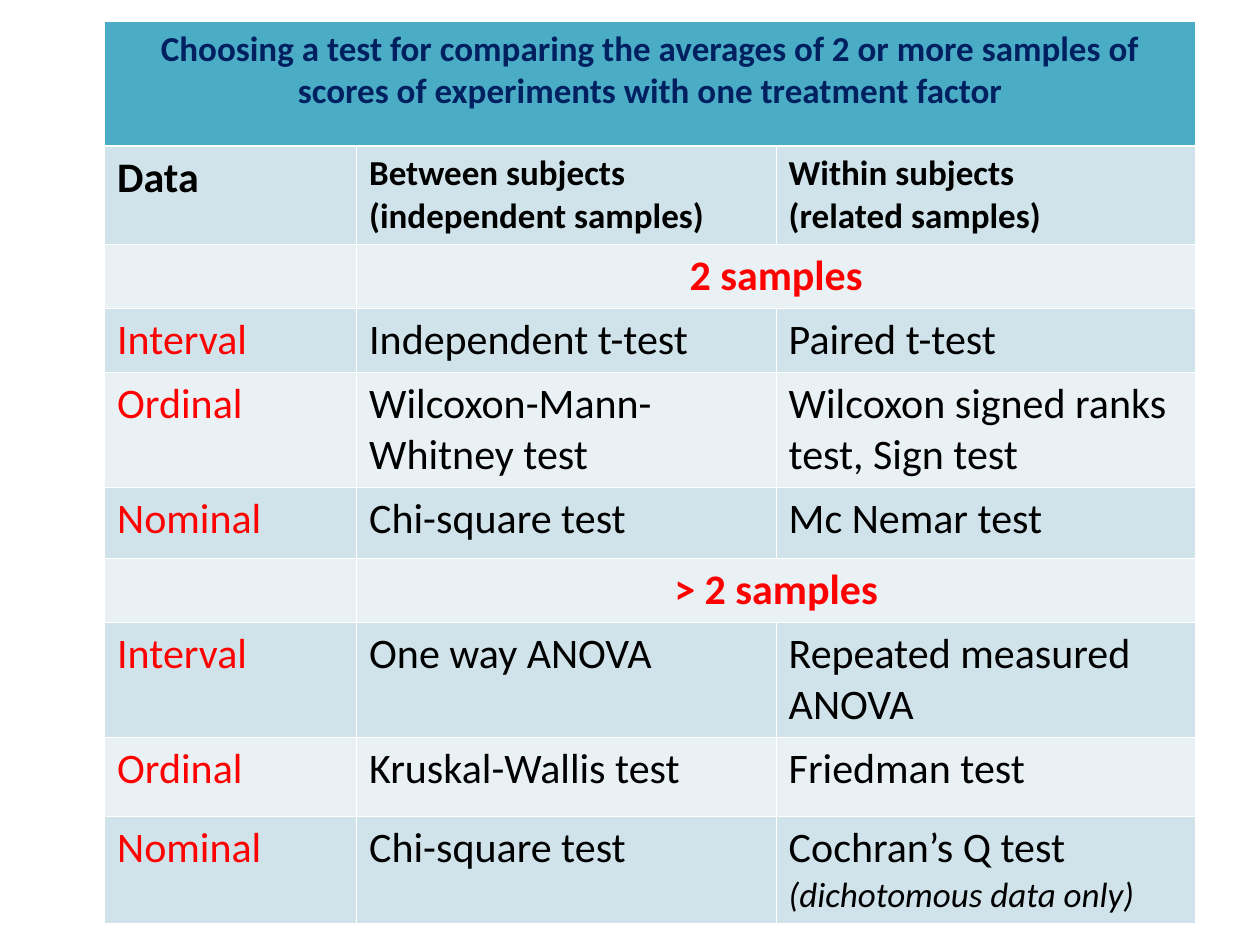
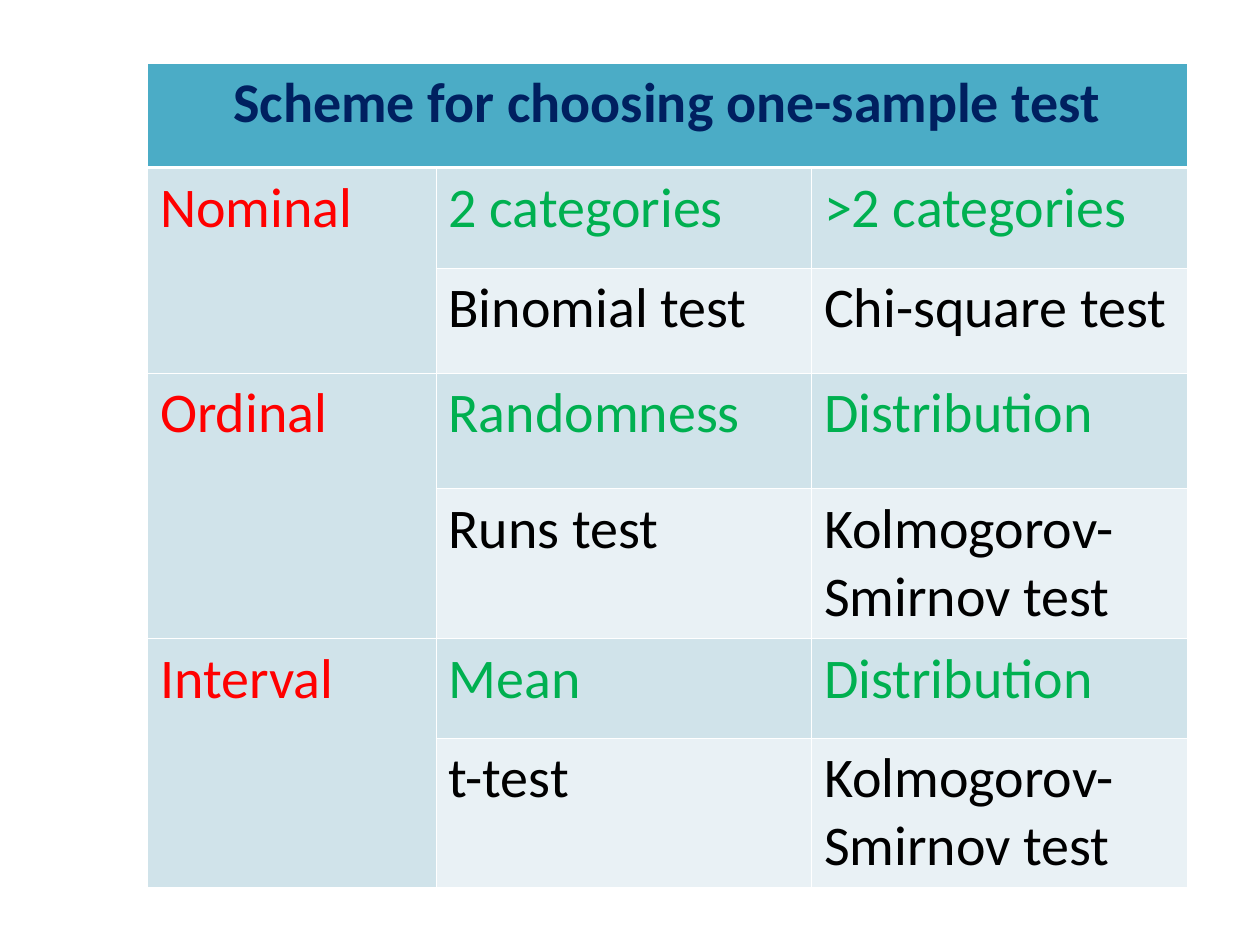
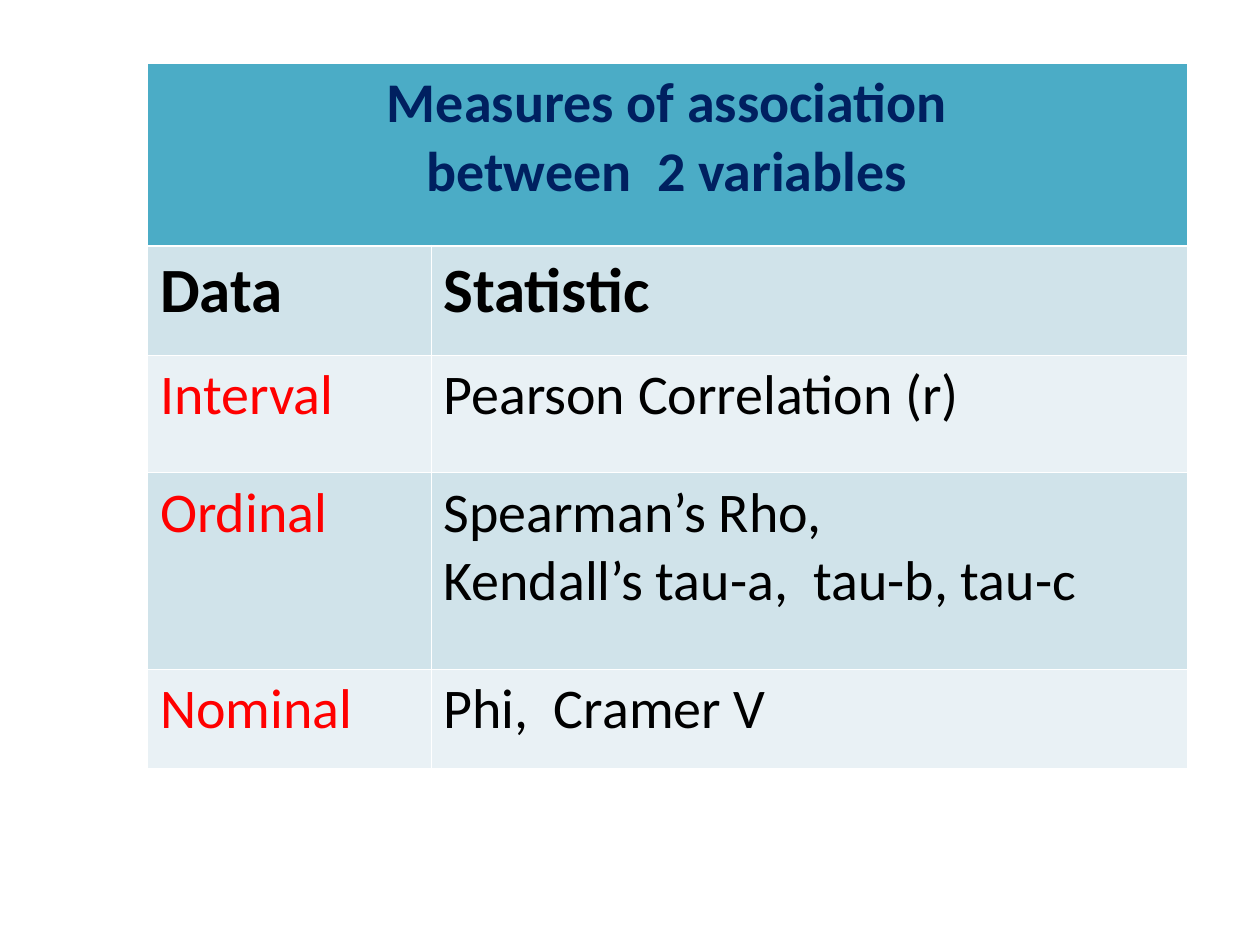
import dataclasses
import typing

import lxml.etree
import pptx
import pptx.dml.color
import pptx.enum.text
import pptx.oxml.ns
import pptx.util

Inches = pptx.util.Inches
Pt = pptx.util.Pt
RGBColor = pptx.dml.color.RGBColor
PP_ALIGN = pptx.enum.text.PP_ALIGN

# Shared look
FONT = "Calibri"
WHITE = RGBColor(0xFF, 0xFF, 0xFF)
BLACK = RGBColor(0x00, 0x00, 0x00)
NAVY = RGBColor(0x00, 0x20, 0x60)
RED = RGBColor(0xFF, 0x00, 0x00)
GREEN = RGBColor(0x00, 0xB0, 0x50)
TEAL = RGBColor(0x4B, 0xAC, 0xC6)
BAND_DARK = RGBColor(0xD0, 0xE3, 0xEA)
BAND_LIGHT = RGBColor(0xE9, 0xF1, 0xF5)
THIN, THICK = Pt(0.45), Pt(1.47)
NOTE_SIZE = 20


@dataclasses.dataclass(frozen=True)
class Style:
    color: RGBColor
    bold: bool = False
    align: PP_ALIGN = PP_ALIGN.LEFT


TITLE = Style(NAVY, True, PP_ALIGN.CENTER)
HEADING = Style(BLACK, True)
GROUP = Style(RED, True, PP_ALIGN.CENTER)
LABEL = Style(RED)
CASE = Style(GREEN)
BODY = Style(BLACK)


@dataclasses.dataclass(frozen=True)
class Entry:
    """Text of one cell; each line is a paragraph, the note an italic ending."""
    text: str
    style: Style = BODY
    size: typing.Optional[int] = None
    cols: int = 1
    rows: int = 1
    note: str = ""


Row = tuple[typing.Optional[Entry], ...]


@dataclasses.dataclass(frozen=True)
class Scheme:
    """A table filling one slide."""
    left: float
    top: float
    widths: tuple[float, ...]
    heights: tuple[float, ...]
    size: int
    rows: tuple[Row, ...]


def test_row(level: str, *tests: str) -> Row:
    return (Entry(level, LABEL), *(Entry(test) for test in tests))


def group_row(text: str) -> Row:
    return (None, Entry(text, GROUP, cols=2), None)


def case_rows(level: str, cases: tuple[str, str], tests: tuple[str, str]) -> tuple[Row, Row]:
    return ((Entry(level, LABEL, rows=2), *(Entry(case, CASE) for case in cases)),
            (None, *(Entry(test) for test in tests)))


SCHEMES = (
    Scheme(
        0.83, 0.17, (2, 3.33, 3.33),
        (0.99, 0.77, 0.5, 0.5, 0.9, 0.56, 0.51, 0.9, 0.63, 0.84), 24,
        (
            (Entry("Choosing a test for comparing the averages of 2 or more samples of "
                   "scores of experiments with one treatment factor", TITLE, 20, cols=3),),
            (Entry("Data", HEADING),
             Entry("Between subjects\n(independent samples)", HEADING, 20),
             Entry("Within subjects\n(related samples)", HEADING, 20)),
            group_row("2 samples"),
            test_row("Interval", "Independent t-test", "Paired t-test"),
            test_row("Ordinal", "Wilcoxon-Mann-Whitney test",
                     "Wilcoxon signed ranks test, Sign test"),
            test_row("Nominal", "Chi-square test", "Mc Nemar test"),
            group_row("> 2 samples"),
            test_row("Interval", "One way ANOVA", "Repeated measured ANOVA"),
            test_row("Ordinal", "Kruskal-Wallis test", "Friedman test"),
            (*test_row("Nominal", "Chi-square test"),
             Entry("Cochran’s Q test ", note="(dichotomous data only)")),
        )),
    Scheme(
        1.17, 0.5, (2.29, 2.98, 2.98),
        (0.83, 0.8, 0.83, 0.92, 1.17, 0.79, 1.17), 32,
        (
            (Entry("Scheme for choosing one-sample test", TITLE, cols=3),),
            *case_rows("Nominal", ("2 categories", ">2 categories"),
                       ("Binomial test", "Chi-square test")),
            *case_rows("Ordinal", ("Randomness", "Distribution"),
                       ("Runs test", "Kolmogorov-Smirnov test")),
            *case_rows("Interval", ("Mean", "Distribution"),
                       ("t-test", "Kolmogorov-Smirnov test")),
        )),
    Scheme(
        1.17, 0.5, (2.25, 6), (1.45, 0.87, 0.93, 1.56, 0.79), 32,
        (
            (Entry("Measures of association\nbetween  2 variables", TITLE, cols=2),),
            (Entry("Data", HEADING, 36), Entry("Statistic", HEADING, 36)),
            test_row("Interval", "Pearson Correlation (r)"),
            test_row("Ordinal", "Spearman’s Rho,\nKendall’s tau-a,  tau-b, tau-c"),
            test_row("Nominal", "Phi,  Cramer V"),
        )),
)


def set_font(font: typing.Any, style: Style, size: int) -> None:
    font.name = FONT
    font.size = Pt(size)
    font.bold = style.bold
    font.color.rgb = style.color


def set_borders(cell: typing.Any, row: int) -> None:
    """White grid, with a heavier line under the title row."""
    qn = pptx.oxml.ns.qn
    tcPr = cell._tc.get_or_add_tcPr()
    widths = {"L": THIN, "R": THIN,
              "T": THICK if row == 1 else THIN,
              "B": THICK if row == 0 else THIN}
    for side, width in widths.items():
        ln = lxml.etree.SubElement(tcPr, qn(f"a:ln{side}"), w=str(int(width)))
        fill = lxml.etree.SubElement(ln, qn("a:solidFill"))
        lxml.etree.SubElement(fill, qn("a:srgbClr"), val=str(WHITE))


def band_color(row: int) -> RGBColor:
    if row == 0:
        return TEAL
    return BAND_DARK if row % 2 else BAND_LIGHT


def write_entry(cell: typing.Any, entry: Entry, table_size: int) -> None:
    size = entry.size or table_size
    tf = cell.text_frame
    tf.text = entry.text
    for p in tf.paragraphs:
        p.alignment = entry.style.align
        if not entry.note:
            set_font(p.font, entry.style, size)
    if entry.note:
        p = tf.paragraphs[-1]
        set_font(p.runs[0].font, entry.style, size)
        r = p.add_run()
        r.text = entry.note
        set_font(r.font, entry.style, NOTE_SIZE)
        r.font.italic = True


def draw_scheme(slide: typing.Any, scheme: Scheme) -> None:
    table = slide.shapes.add_table(
        len(scheme.heights), len(scheme.widths),
        Inches(scheme.left), Inches(scheme.top),
        Inches(sum(scheme.widths)), Inches(sum(scheme.heights))).table
    table.first_row = table.horz_banding = False
    for column, width in zip(table.columns, scheme.widths):
        column.width = Inches(width)

    # Grid and bands
    for i, height in enumerate(scheme.heights):
        table.rows[i].height = Inches(height)
        for cell in table.rows[i].cells:
            set_borders(cell, i)
            cell.fill.solid()
            cell.fill.fore_color.rgb = band_color(i)

    # Text and merged cells
    for i, row in enumerate(scheme.rows):
        for j, entry in enumerate(row):
            if entry is None:
                continue
            cell = table.cell(i, j)
            if entry.cols > 1 or entry.rows > 1:
                cell.merge(table.cell(i + entry.rows - 1, j + entry.cols - 1))
            write_entry(cell, entry, scheme.size)


def main() -> None:
    prs = pptx.Presentation()
    prs.slide_width, prs.slide_height = Inches(10), Inches(7.5)
    for scheme in SCHEMES:
        draw_scheme(prs.slides.add_slide(prs.slide_layouts[6]), scheme)
    prs.save("out.pptx")


if __name__ == "__main__":
    main()
